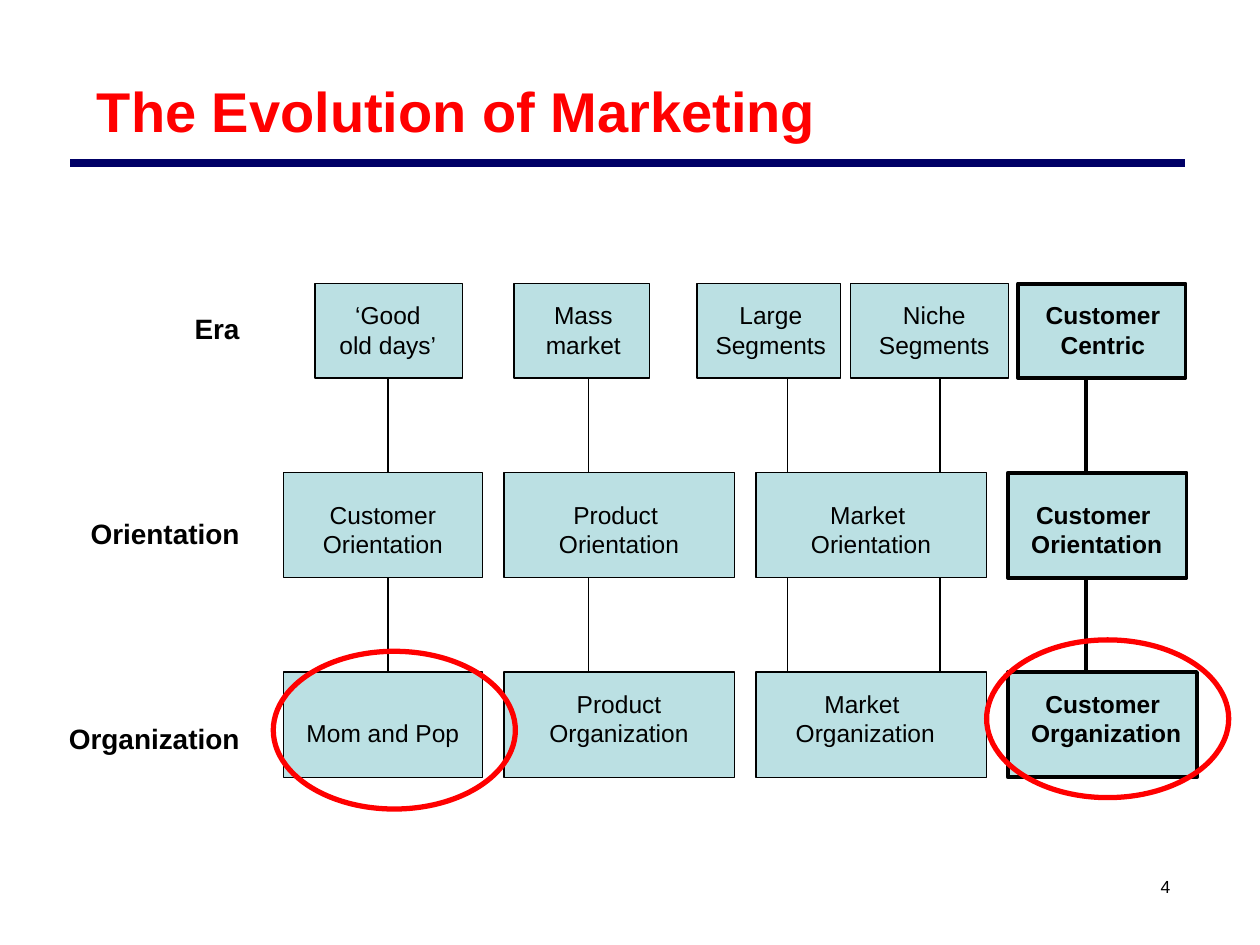
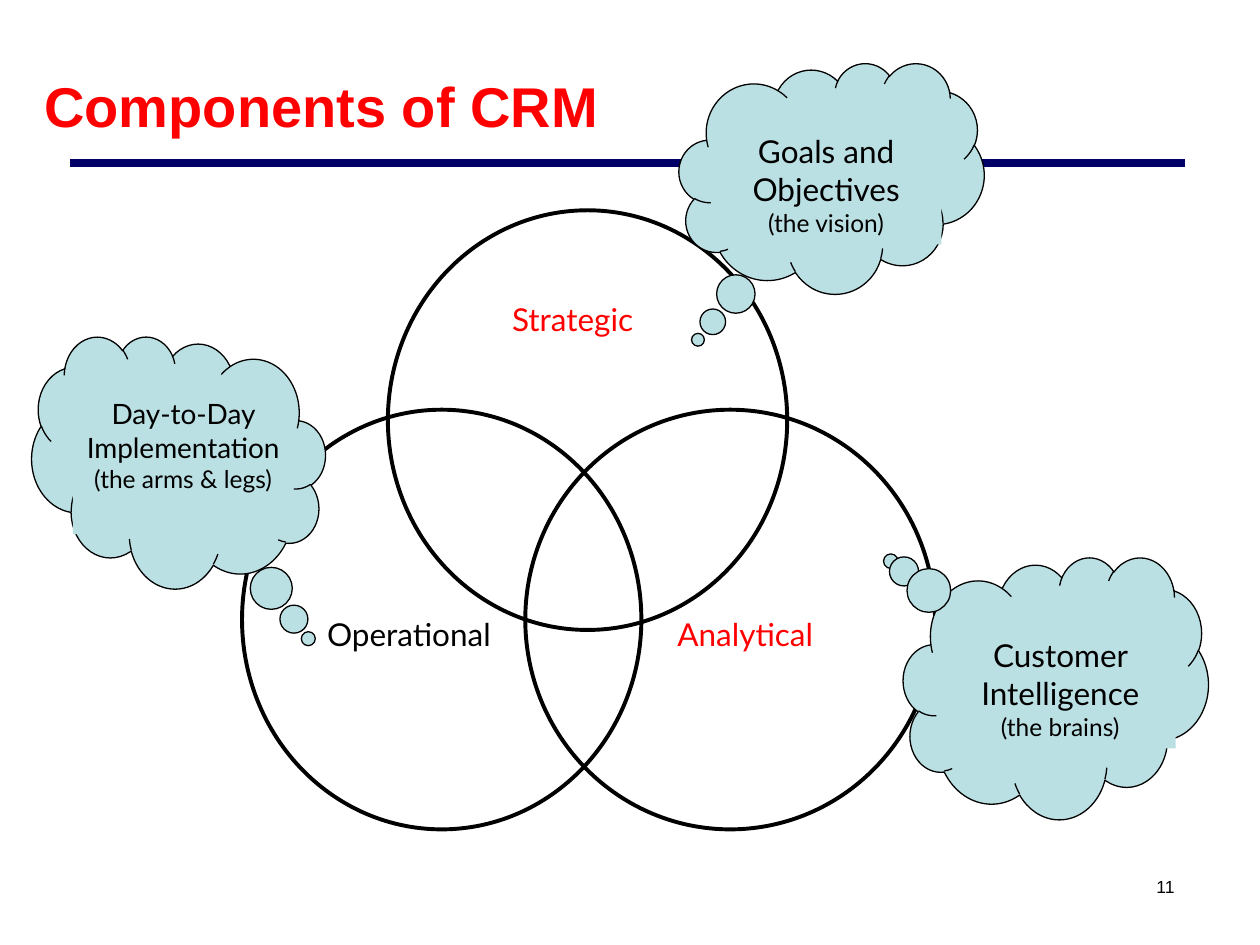
"""Build two slides on the evolution of marketing and the parts of CRM."""
from lxml.etree import SubElement as Sub
from pptx import Presentation
from pptx.dml.color import RGBColor as Rgb
from pptx.enum.shapes import MSO_CONNECTOR as Wire, MSO_SHAPE as Kind
from pptx.enum.text import MSO_ANCHOR as Anchor, PP_ALIGN as Align
from pptx.oxml.ns import qn
from pptx.util import Cm, Pt

RED = Rgb(0xFF, 0x00, 0x00)
NAVY = Rgb(0x00, 0x00, 0x66)
BLACK = Rgb(0x00, 0x00, 0x00)
AQUA = Rgb(0xBB, 0xE0, 0xE3)
SANS = "Arial"
ROUND = "Lato"
THIN, BOLD = 0.75, 2.25

ROWS = [(5.72, 1.9, 5.93), (9.53, 2.12, 9.95), (13.55, 2.12, 13.76)]
ERAS = [
    (18.95, False, [(17.15, 3.18, 17.35, 2.97, "Niche\vSegments")]),
    (11.86, False, [(10.36, 2.74, 10.59, 2.34, "Mass\vmarket"),
                    (10.16, 4.65, 10.36, 4.24, "Product \vOrientation"),
                    (10.16, 4.65, 10.36, 4.24, "Product\vOrganization")]),
    (15.88, False, [(14.05, 2.9, 14.17, 2.74, "Large\vSegments"),
                    (15.24, 4.65, 15.44, 4.24, "Market \vOrientation"),
                    (15.24, 4.65, 15.44, 4.01, "Market \vOrganization")]),
    (21.89, True, [(20.52, 3.38, 20.75, 2.97, "Customer\vCentric"),
                   (20.32, 3.6, 20.52, 3.18, "Customer \vOrientation"),
                   (20.32, 3.81, 20.52, 3.56, "Customer \vOrganization")]),
    (7.82, False, [(6.35, 2.97, 6.55, 2.54, "‘Good old days’"),
                   (5.72, 4.01, 5.89, 3.66, "Customer\vOrientation"),
                   (5.72, 4.01, 5.89, 3.66, "Mom and Pop")]),
]
RINGS = [(7.82, 4.24, 8.05, 8.46), (4.88, 8.26, 8.05, 8.46),
         (10.59, 8.26, 8.26, 8.46)]
PARTS = [("Strategic", 9.22, 5.92, RED), ("Operational", 5.92, 12.27, BLACK),
         ("Analytical", 12.7, 12.27, RED)]
CLOUDS = [
    ((13.69, 1.27, 6.15, 4.65), (-0.438, 0.7), False,
     (14.33, 2.54, 4.65, 2.39), "Goals and Objectives", "(the vision)", 18),
    ((18.21, 11.23, 6.15, 5.28), (-0.541, -0.484), False,
     (19.05, 12.7, 4.65, 2.39), "Customer Intelligence", "(the brains)", 18),
    ((0.64, 6.78, 5.92, 5.08), (-0.442, 0.7), True,
     (1.47, 7.87, 4.45, 2.9), "Day-to-Day Implementation",
     "(the arms & legs)", 16),
]


class Deck:
    """Hold the style and the current slide."""

    def __init__(self):
        self.show = Presentation()
        self.show.slide_width, self.show.slide_height = Cm(25.4), Cm(19.05)

    def page(self, title, spot, number):
        """Start a slide with its title, rule and number."""
        self.slide = self.show.slides.add_slide(self.show.slide_layouts[5])
        self.text((22.86, 17.4, 1.27, 0.94), number, 10, mid=True)
        self.line(1.42, 3.28, 23.88, 3.28, 4.5, NAVY)
        head = self.slide.shapes.title
        head.left, head.top, head.width, head.height = map(Cm, spot)
        self.label(head, title, 32, RED, True, align=Align.LEFT, mid=True)

    def label(self, shape, text, size, color=BLACK, bold=False, face=SANS,
              align=Align.CENTER, mid=False, gap=0):
        """Fill a shape with text in one style."""
        frame = shape.text_frame
        frame.word_wrap = True
        frame.vertical_anchor = Anchor.MIDDLE if mid else Anchor.TOP
        frame.text = text
        for rank, para in enumerate(frame.paragraphs):
            para.alignment = align
            para.space_before = Pt(gap if rank else 0)
            font = para.font
            font.name, font.size, font.bold = face, Pt(size), bold
            font.color.rgb = color

    def text(self, spot, text, size, **style):
        """Add a text box."""
        box = self.slide.shapes.add_textbox(*map(Cm, spot))
        self.label(box, text, size, **style)

    def shape(self, kind, spot, fill=None, width=None, color=BLACK):
        """Add a preset shape."""
        shape = self.slide.shapes.add_shape(kind, *map(Cm, spot))
        shape.shadow.inherit = False
        if fill is None:
            shape.fill.background()
        else:
            shape.fill.solid()
            shape.fill.fore_color.rgb = fill
        if width is None:
            shape.line.fill.background()
        else:
            shape.line.width = Pt(width)
            shape.line.color.rgb = color
        return shape

    def line(self, left, top, right, low, width, color=BLACK):
        """Add a straight line."""
        wire = self.slide.shapes.add_connector(
            Wire.STRAIGHT, *map(Cm, (left, top, right, low)))
        wire.line.width = Pt(width)
        wire.line.color.rgb = color
        Sub(wire._element.spPr, qn("a:effectLst"))

    def patch(self, spot, text, size, **style):
        """Add a filled caption without an outline."""
        shape = self.shape(Kind.RECTANGLE, spot, AQUA)
        self.label(shape, text, size, **style)
        return shape

    def cloud(self, spot, tail, flip):
        """Add a thought cloud."""
        cloud = self.shape(Kind.CLOUD_CALLOUT, spot, AQUA, THIN)
        cloud.adjustments[0], cloud.adjustments[1] = tail
        if flip:
            cloud._element.spPr.find(qn("a:xfrm")).set("flipH", "1")


def growth(deck):
    """Draw the eras of marketing."""
    deck.page("The Evolution of Marketing", (1.7, 0.64, 22.02, 3.18), "4")
    deck.text((1.07, 6.15, 4.01, 9.17), "Era\nOrientation\nOrganization", 16,
              bold=True, align=Align.RIGHT, gap=98)
    for wire, bold, boxes in ERAS:
        width = BOLD if bold else THIN
        deck.line(wire, 7.62, wire, 15.6, width)
        for (top, high, inner), (left, wide, start, span, text) in zip(ROWS, boxes):
            deck.shape(Kind.RECTANGLE, (left, top, wide, high), AQUA, width)
            drop = 0.58 if text == "Mom and Pop" else 0
            deck.patch((start, inner + drop, span, 1.45 - drop), text, 14,
                       bold=bold)
    for left, top in ((5.51, 13.13), (19.89, 12.9)):
        deck.shape(Kind.OVAL, (left, top, 4.88, 3.18), None, 3, RED)


def parts(deck):
    """Draw the three overlapping parts of CRM."""
    deck.page("Components of CRM", (0.64, 0.99, 14.81, 2.26), "11")
    for ring in RINGS:
        deck.shape(Kind.OVAL, ring, None, BOLD)
    for name, left, top, color in PARTS:
        deck.text((left, top, 4.65, 1.02), name, 18, color=color, face=ROUND)
    for spot, tail, flip, inner, main, note, size in CLOUDS:
        deck.cloud(spot, tail, flip)
        para = deck.patch(inner, main + "\v", size,
                          face=ROUND).text_frame.paragraphs[0]
        run = para.add_run()
        run.text, run.font.size = note, Pt(14)


def build():
    """Build and save the deck."""
    deck = Deck()
    growth(deck)
    parts(deck)
    deck.show.save("out.pptx")


if __name__ == "__main__":
    build()
